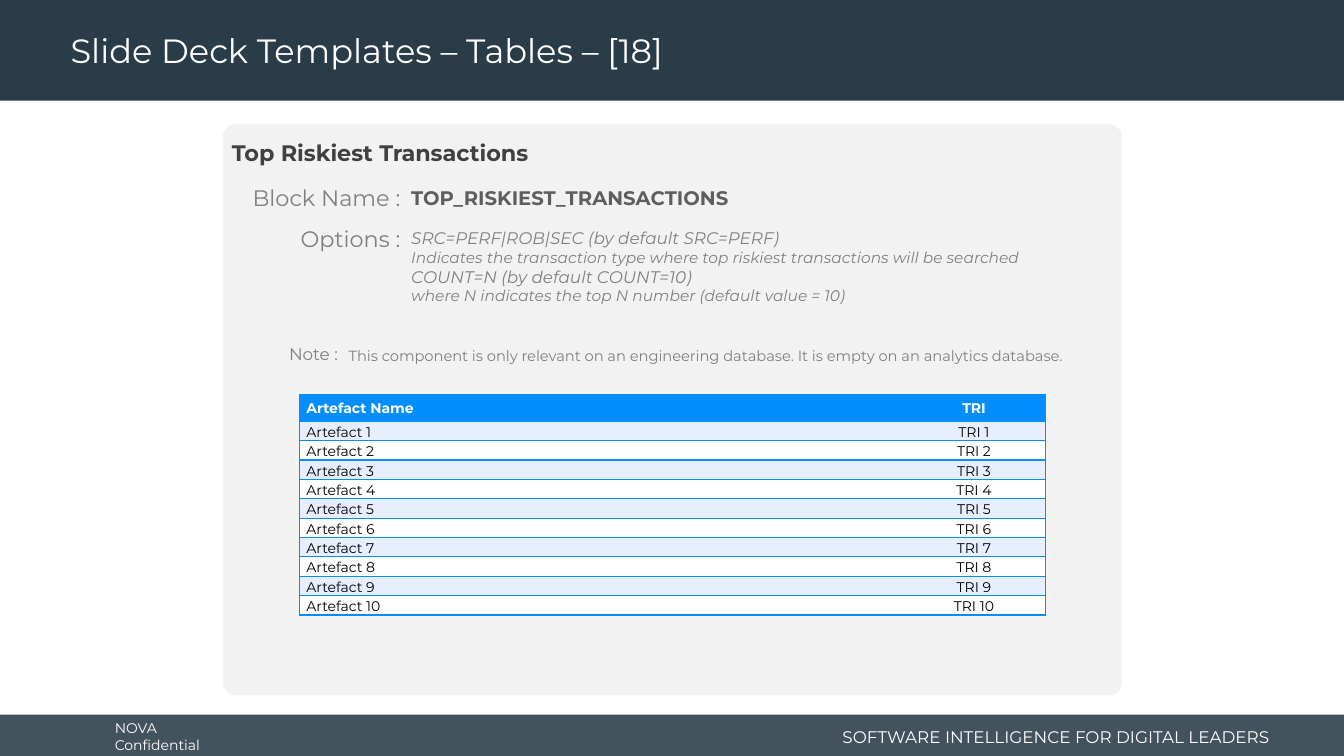
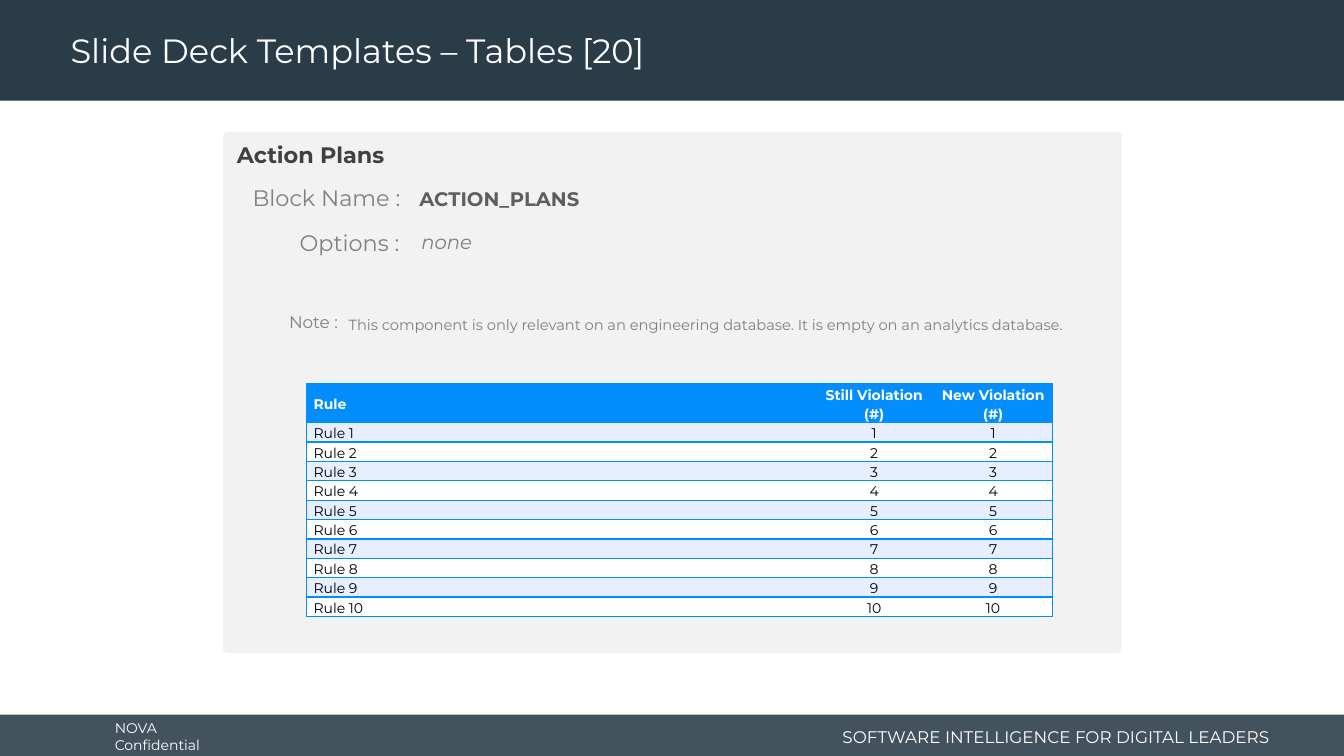
from dataclasses import dataclass

from lxml import etree
from pptx import Presentation
from pptx.dml.color import RGBColor
from pptx.enum.shapes import MSO_SHAPE
from pptx.enum.text import MSO_ANCHOR, MSO_AUTO_SIZE, PP_ALIGN
from pptx.oxml.ns import qn
from pptx.util import Inches, Pt

RECTANGLE, ROUNDED = MSO_SHAPE.RECTANGLE, MSO_SHAPE.ROUNDED_RECTANGLE
LEFT, CENTER, RIGHT = PP_ALIGN.LEFT, PP_ALIGN.CENTER, PP_ALIGN.RIGHT
TOP, MIDDLE = MSO_ANCHOR.TOP, MSO_ANCHOR.MIDDLE
GROW = MSO_AUTO_SIZE.SHAPE_TO_FIT_TEXT

FONT = "Montserrat"
COLORS = {
    "band": "293C47",
    "panel": "F2F2F2",
    "heading": "404040",
    "block": "5E5E5E",
    "muted": "808080",
    "accent": "048EFD",
    "stripe": "E7EEFF",
    "white": "FFFFFF",
    "black": "000000",
}
SLIDE_WIDTH = 13.33
NOTE = ("This component is only relevant on an engineering database. "
        "It is empty on an analytics database.")


@dataclass
class Card:
    title: str
    heading: str
    block_name: str
    options: list
    box: tuple
    corner: float
    heading_at: tuple
    block_tops: tuple
    option_tops: tuple
    note_tops: tuple
    label_right: float
    value_lefts: tuple
    table_at: tuple
    columns: list
    header_height: float
    rows: list


def rgb(name):
    return RGBColor.from_string(COLORS[name])


def style(paragraph, size, color, bold=False, italic=False, align=LEFT):
    paragraph.alignment = align
    for run in paragraph.runs:
        font = run.font
        font.name, font.size = FONT, Pt(size)
        font.bold, font.italic = bold, italic
        font.color.rgb = rgb(color)


def add_box(slide, preset, box, color):
    shape = slide.shapes.add_shape(preset, *map(Inches, box))
    shape.shadow.inherit = False
    shape.fill.solid()
    shape.fill.fore_color.rgb = rgb(color)
    shape.line.fill.background()
    return shape


def add_text(slide, box, lines, color, wrap=True, anchor=TOP, inset=0.1, **font):
    textbox = slide.shapes.add_textbox(*map(Inches, box))
    frame = textbox.text_frame
    frame.word_wrap = wrap
    frame.vertical_anchor = anchor
    frame.margin_left = frame.margin_right = Inches(inset)
    if anchor == TOP:
        frame.auto_size = GROW
    frame.text = "\n".join(text for text, size in lines)
    for paragraph, (text, size) in zip(frame.paragraphs, lines):
        style(paragraph, size, color, **font)
    return textbox


def brand_layout(layout, slide):
    footer = add_box(slide, RECTANGLE, (0, 7.09, SLIDE_WIDTH, 0.44), "band")
    solid = footer.fill.fore_color._xFill
    etree.SubElement(solid[0], qn("a:alpha"), val="88000")
    parts = [
        footer,
        add_box(slide, RECTANGLE, (0, 0, SLIDE_WIDTH, 1), "band"),
        add_text(slide, (1.04, 7.11, 1.48, 0.4), [("NOVA Confidential", 10)],
                 "white", wrap=False, anchor=MIDDLE),
        add_text(slide, (8.11, 7.15, 4.58, 0.32),
                 [("SOFTWARE INTELLIGENCE FOR DIGITAL LEADERS", 12)],
                 "white", anchor=MIDDLE, align=RIGHT),
    ]
    for part in parts:
        layout.shapes.element.append(part.element)


def set_title(slide, text):
    title = slide.shapes.title
    title.left, title.top, title.width, title.height = map(Inches, (0.6, 0.04, 9.58, 0.96))
    title.text_frame.text = text
    title.text_frame.vertical_anchor = MIDDLE
    paragraph = title.text_frame.paragraphs[0]
    paragraph.line_spacing = 0.9
    style(paragraph, 24, "white")


def set_borders(cell, sides):
    properties = cell._tc.get_or_add_tcPr()
    for side in "LRTB":
        line = etree.SubElement(properties, qn("a:ln" + side), w=str(Pt(1)))
        if side in sides:
            fill = etree.SubElement(line, qn("a:solidFill"))
            etree.SubElement(fill, qn("a:srgbClr"), val=COLORS["accent"])
        else:
            etree.SubElement(line, qn("a:noFill"))


def fill_cell(cell, text, row, column, last_column):
    sides = "TB" + ("L" if column == 0 else "") + ("R" if column == last_column else "")
    set_borders(cell, sides)
    header = row == 0
    cell.fill.solid()
    cell.fill.fore_color.rgb = rgb("accent" if header else "stripe" if row % 2 else "white")
    cell.margin_left = cell.margin_right = Inches(0.07)
    cell.margin_top = cell.margin_bottom = 0
    cell.vertical_anchor = MIDDLE if header else TOP
    cell.text_frame.text = text
    paragraph = cell.text_frame.paragraphs[0]
    paragraph.line_spacing = 1.15
    style(paragraph, 10, "white" if header else "black", bold=header,
          align=CENTER if column else LEFT)


def add_results_table(slide, left, top, columns, header_height, rows):
    row_height = 0.19
    width = sum(column_width for name, column_width in columns)
    height = header_height + row_height * len(rows)
    table = slide.shapes.add_table(len(rows) + 1, len(columns),
                                   *map(Inches, (left, top, width, height))).table
    for column, (name, column_width) in zip(table.columns, columns):
        column.width = Inches(column_width)
    for index, row in enumerate(table.rows):
        row.height = Inches(row_height if index else header_height)
    records = [[name for name, column_width in columns], *rows]
    for row, record in enumerate(records):
        for column, text in enumerate(record):
            fill_cell(table.cell(row, column), text, row, column, len(columns) - 1)


def add_label(slide, right, top, width, text, size):
    add_text(slide, (right - width, top, width, 0.37), [(text, size)],
             "muted", wrap=False, align=RIGHT)


def add_card(slide, card):
    left, top, width, height = card.box
    panel = add_box(slide, ROUNDED, card.box, "panel")
    panel.adjustments[0] = card.corner

    heading_left, heading_top = card.heading_at
    add_text(slide, (left + heading_left, top + heading_top, width, 0.37),
             [(card.heading, 16)], "heading", inset=0.2, bold=True)

    fields = [
        ("Block Name :", 1.67, 1.86, card.block_tops, [(card.block_name, 14)],
         "block", {"bold": True}),
        ("Options :", 1.21, card.label_right, card.option_tops, card.options,
         "muted", {"italic": True}),
    ]
    for field, value_left in zip(fields, card.value_lefts):
        label, label_width, right, (label_top, value_top), lines, color, font = field
        add_label(slide, left + right, top + label_top, label_width, label, 16)
        add_text(slide, (left + value_left, top + value_top, 7.25, 0.34),
                 lines, color, **font)

    label_top, note_top = card.note_tops
    add_label(slide, left + 1.24, top + label_top, 0.7, "Note :", 12)
    add_text(slide, (left + 1.15, top + note_top, 7.65, 0.29), [(NOTE, 10.5)], "muted")

    table_left, table_top = card.table_at
    add_results_table(slide, left + table_left, top + table_top,
                      card.columns, card.header_height, card.rows)


CARDS = [
    Card(
        title="Slide Deck Templates – Tables – [18]",
        heading="Top Riskiest Transactions",
        block_name="TOP_RISKIEST_TRANSACTIONS",
        options=[
            ("SRC=PERF|ROB|SEC (by default SRC=PERF)", 12),
            ("Indicates the transaction type where top riskiest transactions will be searched", 11),
            ("COUNT=N (by default COUNT=10)", 12),
            ("where N indicates the top N number (default value = 10)", 11),
        ],
        box=(2.21, 1.23, 8.92, 5.67),
        corner=0.024,
        heading_at=(-0.11, 0.1),
        block_tops=(0.55, 0.57),
        option_tops=(0.95, 0.98),
        note_tops=(2.13, 2.16),
        label_right=1.86,
        value_lefts=(1.77, 1.77),
        table_at=(0.76, 2.68),
        columns=[("Artefact Name", 5.98), ("TRI", 1.42)],
        header_height=0.27,
        rows=[(f"Artefact {n}", f"TRI {n}") for n in range(1, 11)],
    ),
    Card(
        title="Slide Deck Templates – Tables [20]",
        heading="Action Plans",
        block_name="ACTION_PLANS",
        options=[("none", 14)],
        box=(2.21, 1.31, 8.92, 5.17),
        corner=0.01,
        heading_at=(-0.06, 0.04),
        block_tops=(0.47, 0.5),
        option_tops=(0.91, 0.92),
        note_tops=(1.73, 1.77),
        label_right=1.85,
        value_lefts=(1.85, 1.87),
        table_at=(0.83, 2.5),
        columns=[("Rule", 5.04), ("Still Violation (#)", 1.18), ("New Violation (#)", 1.18)],
        header_height=0.38,
        rows=[(f"Rule {n}", str(n), str(n)) for n in range(1, 11)],
    ),
]


def main():
    deck = Presentation()
    deck.slide_width, deck.slide_height = Inches(SLIDE_WIDTH), Inches(7.5)
    layout = deck.slide_layouts[5]
    slides = [deck.slides.add_slide(layout) for card in CARDS]
    brand_layout(layout, slides[0])
    for slide, card in zip(slides, CARDS):
        set_title(slide, card.title)
        add_card(slide, card)
    deck.save("out.pptx")


if __name__ == "__main__":
    main()
